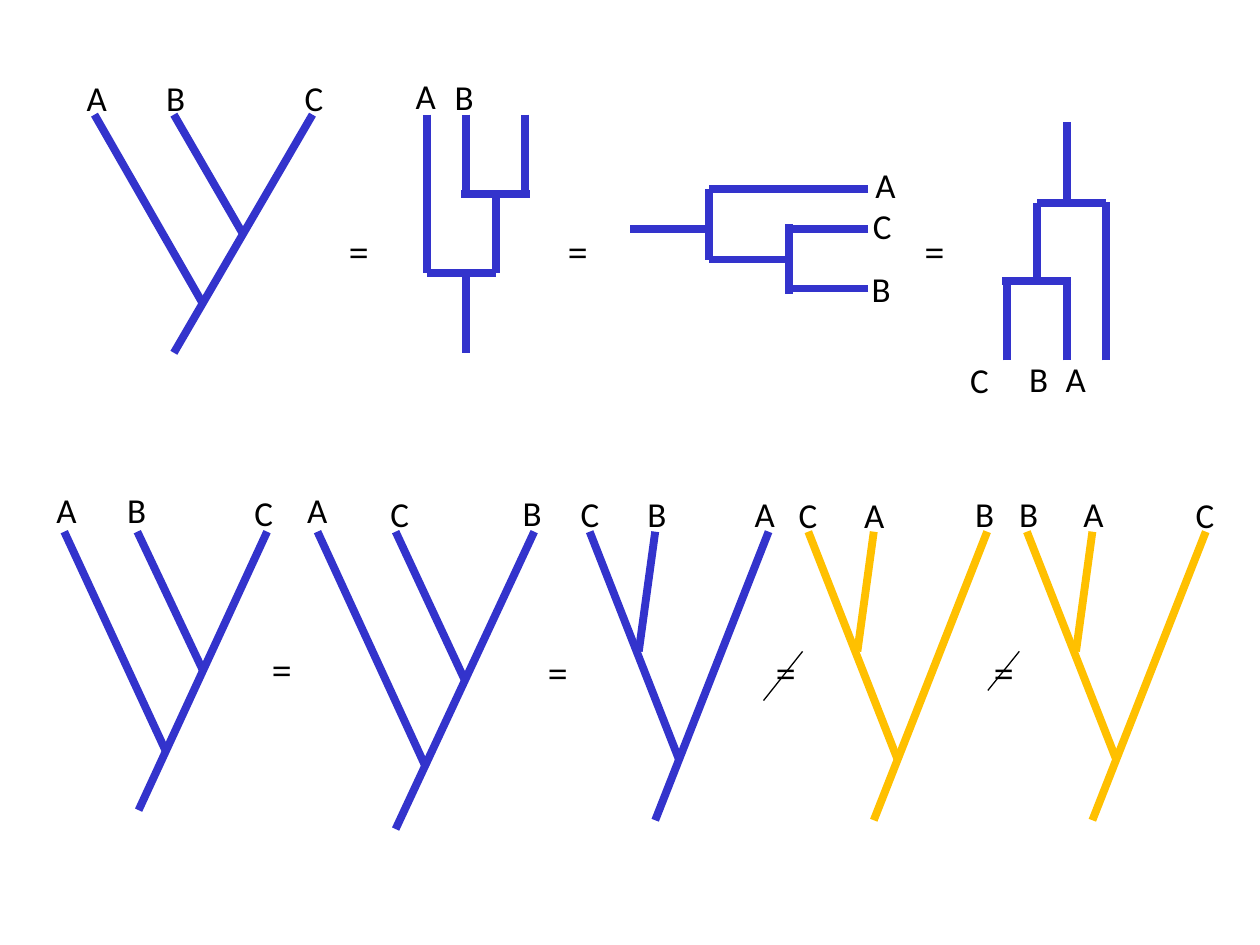
from pptx import Presentation
from pptx.dml.color import RGBColor
from pptx.enum.shapes import MSO_CONNECTOR
from pptx.enum.text import MSO_AUTO_SIZE
from pptx.oxml.ns import qn
from pptx.util import Inches, Pt
from lxml.etree import SubElement

prs = Presentation()
prs.slide_width, prs.slide_height = Inches(10), Inches(7.5)
col, row = prs.slide_width / 100, prs.slide_height / 75
s = prs.slides.add_slide(prs.slide_layouts[6])
colors = {"blue": "3333CC", "gold": "FFC000", "black": "000000"}


def add_line(x1, y1, x2, y2, color, width=4.5):
    ends = [round(v) for v in (x1 * col, y1 * row, x2 * col, y2 * row)]
    cx = s.shapes.add_connector(MSO_CONNECTOR.STRAIGHT, *ends)
    cx.line.color.rgb = RGBColor.from_string(colors[color])
    cx.line.width = Pt(width)
    SubElement(cx._element.spPr, qn("a:effectLst"))


def add_label(text, x, y, font="Calibri", bold=False):
    width = 3.5 if text in "BC" else 3.6
    box = [round(v) for v in (x * col, y * row, width * col, 4.4 * row)]
    tf = s.shapes.add_textbox(*box).text_frame
    tf.word_wrap = False
    tf.auto_size = MSO_AUTO_SIZE.SHAPE_TO_FIT_TEXT
    r = tf.paragraphs[0].add_run()
    r.text = text
    r.font.name, r.font.size, r.font.bold = font, Pt(20), bold
    r.font.color.rgb = RGBColor.from_string(colors["black"])


slanted_trees = [
    ("blue", 9.1, (13.8, 28), 24.8, (16.1, 24.1), 7.5, (19.3, 18.6), 13.8),
    ("blue", 42.2, (11, 64.3), 21.2, (13.2, 59.7), 5.1, (16.1, 53.2), 10.9),
    ("blue", 42.2, (31.4, 65.8), 42.4, (33.8, 60.9), 25.2, (36.9, 54), 31.4),
]
for color, dx in [("blue", 0), ("gold", 17.35), ("gold", 34.7)]:
    slanted_trees.append((color, 42.2, (52 + dx, 65.1), 61 + dx,
                          (53.9 + dx, 60.3), 46.8 + dx,
                          (50.7 + dx, 51.7), 52 + dx))
for color, top, *branches in slanted_trees:
    for (x, y), tip in zip(branches[::2], branches[1::2]):
        add_line(x, y, tip, top, color)

square_trees = [
    [(33.9, 9.1, 33.9, 21.7), (33.9, 21.7, 39.4, 21.7),
     (39.4, 15.4, 39.4, 21.7), (36.6, 15.4, 42.1, 15.4),
     (41.7, 9.1, 41.7, 15.4), (37, 9.1, 37, 15.4),
     (37, 21.7, 37, 28)],
    [(68.9, 15, 56.3, 15), (56.3, 15, 56.3, 20.6),
     (62.6, 20.6, 56.3, 20.6), (62.6, 17.8, 62.6, 23.3),
     (68.9, 22.9, 62.6, 22.9), (68.9, 18.2, 62.6, 18.2),
     (56.3, 18.2, 50, 18.2)],
    [(87.8, 28.6, 87.8, 16), (87.8, 16.1, 82.3, 16.1),
     (82.3, 22.3, 82.3, 16.1), (85, 22.3, 79.5, 22.3),
     (79.9, 28.6, 79.9, 22.3), (84.7, 28.6, 84.7, 22.3),
     (84.7, 16, 84.7, 9.7)],
]
for tree in square_trees:
    for segment in tree:
        add_line(*segment, "blue")

tip_labels = {
    "A": [(5.9, 5.6), (32, 5.4), (68.5, 12.5), (83.6, 27.9), (3.5, 38.3),
          (23.4, 38.3), (58.9, 38.6), (67.6, 38.7), (85, 38.6)],
    "B": [(12.2, 5.6), (35.1, 5.5), (68.2, 20.7), (80.7, 27.9), (9.1, 38.3),
          (40.5, 38.5), (50.4, 38.6), (76.4, 38.6), (79.9, 38.6)],
    "C": [(23.2, 5.6), (68.3, 15.7), (76, 28), (19.2, 38.5), (30, 38.6),
          (45.1, 38.6), (62.4, 38.7), (93.9, 38.7)],
}
for letter, places in tip_labels.items():
    for x, y in places:
        add_label(letter, x, y)

equals_signs = [(26.7, 17.8), (44.1, 17.8), (72.4, 17.8), (20.6, 51),
                (42.5, 51.2), (60.6, 51.2), (77.9, 51.2)]
for x, y in equals_signs:
    add_label("=", x, y, "Times New Roman", True)

for slash in [(63.7, 51.7, 60.6, 55.6), (80.9, 51.7, 78.4, 54.8)]:
    add_line(*slash, "black", 0.75)

prs.save("out.pptx")
